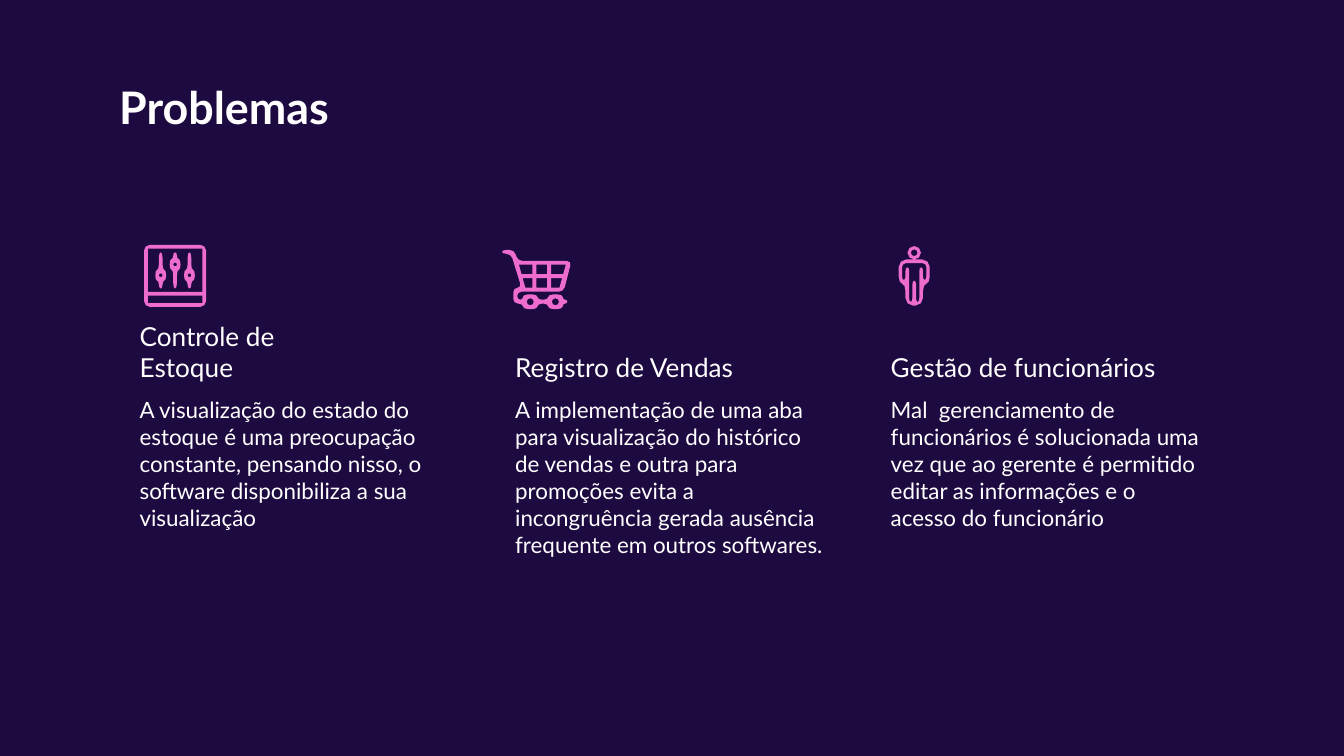
"""Build the "Problemas" slide: three columns with an icon, a heading and a text."""
from pptx import Presentation
from pptx.dml.color import RGBColor
from pptx.enum.text import MSO_ANCHOR
from pptx.util import Pt

TOP, BOTTOM = MSO_ANCHOR.TOP, MSO_ANCHOR.BOTTOM
BACKGROUND, WHITE, PINK = "1D0A40", "FFFFFF", "ED6CCD"
UNITS_PER_POINT = 100
CURVE_STEPS = 2
COLUMN_LEFT, COLUMN_STEP, COLUMN_WIDTH = 67.7, 201.2, 181.4

color = RGBColor.from_string


def box(left, top, right, bottom):
    """Return the corners of a rectangle."""
    return [(left, top), (right, top), (right, bottom), (left, bottom)]


def rounded(radius, corners):
    """Return the points of an outline whose corners are rounded."""
    points = []
    for index, (x, y) in enumerate(corners):
        ends = []
        for next_x, next_y in (corners[index - 1], corners[(index + 1) % len(corners)]):
            length = ((next_x - x) ** 2 + (next_y - y) ** 2) ** 0.5
            share = min(radius / length, 0.5)
            ends.append(((next_x - x) * share, (next_y - y) * share))
        (start_x, start_y), (end_x, end_y) = ends
        for step in range(CURVE_STEPS + 1):
            t = step / CURVE_STEPS
            start = (1 - t) ** 3 + 1.35 * t * (1 - t) ** 2
            end = t ** 3 + 1.35 * (1 - t) * t ** 2
            point = (
                round((x + start_x * start + end_x * end) * UNITS_PER_POINT),
                round((y + start_y * start + end_y * end) * UNITS_PER_POINT),
            )
            if point not in points:
                points.append(point)
    return points


presentation = Presentation()
presentation.slide_width = Pt(720)
presentation.slide_height = Pt(405)
slide = presentation.slides.add_slide(presentation.slide_layouts[6])
slide.background.fill.solid()
slide.background.fill.fore_color.rgb = color(BACKGROUND)

columns = [
    (["Controle de", "Estoque"],
     "A visualização do estado do estoque é uma preocupação constante, "
     "pensando nisso, o software disponibiliza a sua visualização"),
    (["Registro de Vendas"],
     "A implementação de uma aba para visualização do histórico de vendas e outra "
     "para promoções evita a incongruência gerada ausência frequente em outros softwares."),
    (["Gestão de funcionários"],
     "Mal  gerenciamento de funcionários é solucionada uma vez que ao gerente é "
     "permitido editar as informações e o acesso do funcionário"),
]
texts = [(56.8, 35.4, 607, 45.4, TOP, 24, True, ["Problemas"])]
for number, (heading, body) in enumerate(columns):
    left = COLUMN_LEFT + number * COLUMN_STEP
    texts.append((left, 179.2, COLUMN_WIDTH, 33.1, BOTTOM, 14, False, heading))
    texts.append((left, 205.2, COLUMN_WIDTH, 118.1, TOP, 12, False, [body]))

for left, top, width, height, anchor, size, bold, lines in texts:
    shape = slide.shapes.add_textbox(Pt(left), Pt(top), Pt(width), Pt(height))
    frame_format = {"word_wrap": True, "vertical_anchor": anchor}
    for side in ("left", "top", "right", "bottom"):
        frame_format[f"margin_{side}"] = Pt(7.2)
    for name, value in frame_format.items():
        setattr(shape.text_frame, name, value)
    shape.text_frame.text = "\n".join(lines)
    for paragraph in shape.text_frame.paragraphs:
        font = paragraph.runs[0].font
        for name, value in {"name": "Lato", "size": Pt(size), "bold": bold}.items():
            setattr(font, name, value)
        font.color.rgb = color(WHITE)

cart = [(2.5, [
    (0, 0), (6.6, 0), (8.3, 5.9), (37.2, 5.9), (33, 22.4), (8.1, 22.4), (8.1, 26.7),
    (11.2, 26.7), (11.2, 23.9), (19, 23.9), (19, 26.7), (24.7, 26.7), (24.7, 23.9),
    (32.5, 23.9), (32.5, 26.7), (35, 26.7), (35, 28.8), (32.5, 28.8), (32.5, 31.7),
    (24.7, 31.7), (24.7, 28.8), (19, 28.8), (19, 31.7), (11.2, 31.7), (11.2, 28.8),
    (6, 28.8), (6, 20.3), (10.4, 20.3), (4.8, 2.1), (0, 2.1),
])]
for center in (15.1, 28.6):
    cart.append((1.9, box(center - 1.9, 25.9, center + 1.9, 29.7)))
for top, bottom in ((7.9, 13), (15.1, 20.2)):
    left_top, left_bottom = 6.8 + 0.28 * top, 6.8 + 0.28 * bottom
    cart.append((0, [(left_top, top), (16.3, top), (16.3, bottom), (left_bottom, bottom)]))
    cart.append((0, box(18.4, top, 24.2, bottom)))
    cart.append((0, [(26.3, top), (43.2 - left_top, top),
                     (43.2 - left_bottom, bottom), (26.3, bottom)]))

panel = [(3, box(0, 0, 33.2, 33.2)), (0, box(2, 2, 31.2, 25.2)), (0, box(2, 27.2, 31.2, 31.2))]

person = [
    (3.6, box(4.7, 0, 11.9, 7.2)),
    (1.8, box(6.5, 1.8, 10.1, 5.4)),
    (4, [(0, 7.2), (16.6, 7.2), (16.6, 20.2), (13, 20.2), (13, 31.9),
         (3.6, 31.9), (3.6, 20.2), (0, 20.2)]),
    (2, [(1.8, 9.2), (14.8, 9.2), (14.8, 18.2), (13, 18.2), (13, 11.4), (11, 11.4),
         (11, 30), (9.3, 30), (9.3, 18.6), (7.3, 18.6), (7.3, 30), (5.6, 30),
         (5.6, 11.4), (3.6, 11.4), (3.6, 18.2), (1.8, 18.2)]),
]

icons = [(269, 133.9, cart), (77.2, 131.2, panel)]
for number, knob in enumerate((12.3, 6.5, 12.3)):
    high, low = knob - 2.9, knob + 2.9
    slider = [
        (2.9, [(1.9, 0), (3.9, 0), (3.9, high), (5.8, high), (5.8, low), (3.9, low),
               (3.9, 19.4), (1.9, 19.4), (1.9, low), (0, low), (0, high), (1.9, high)]),
        (1, box(1.9, knob - 1, 3.9, knob + 1)),
    ]
    icons.append((83.2 + number * 7.7, 135.2, slider))
icons.append((481.5, 131.8, person))

for left, top, contours in icons:
    outlines = [rounded(radius, corners) for radius, corners in contours]
    builder = slide.shapes.build_freeform(*outlines[0][0], scale=Pt(1) / UNITS_PER_POINT)
    for number, outline in enumerate(outlines):
        if number:
            builder.move_to(*outline[0])
        builder.add_line_segments(outline[1:], close=True)
    shape = builder.convert_to_shape(Pt(left), Pt(top))
    shape.shadow.inherit = False
    shape.fill.solid()
    shape.fill.fore_color.rgb = color(PINK)
    shape.line.fill.background()

presentation.save("out.pptx")
